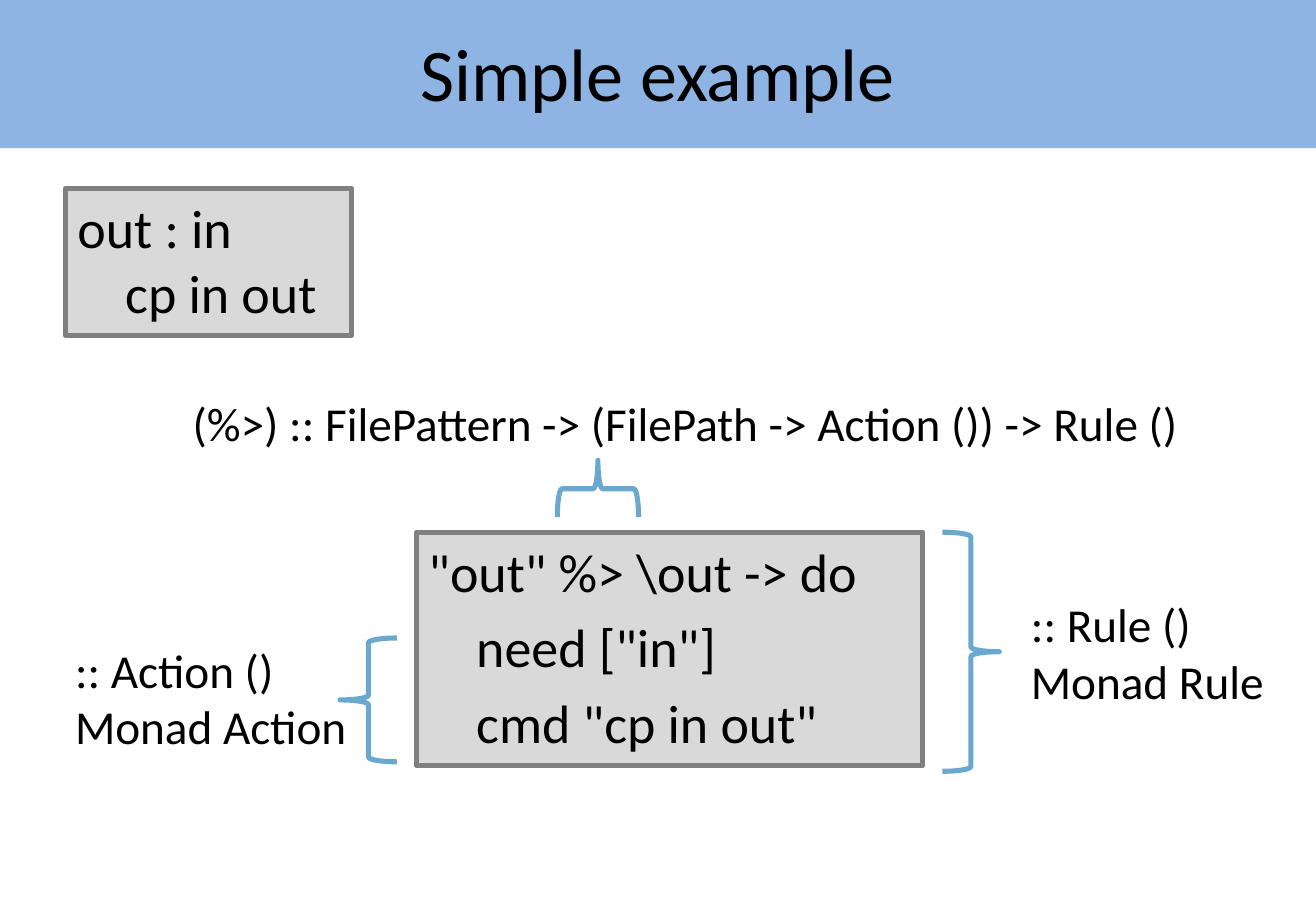
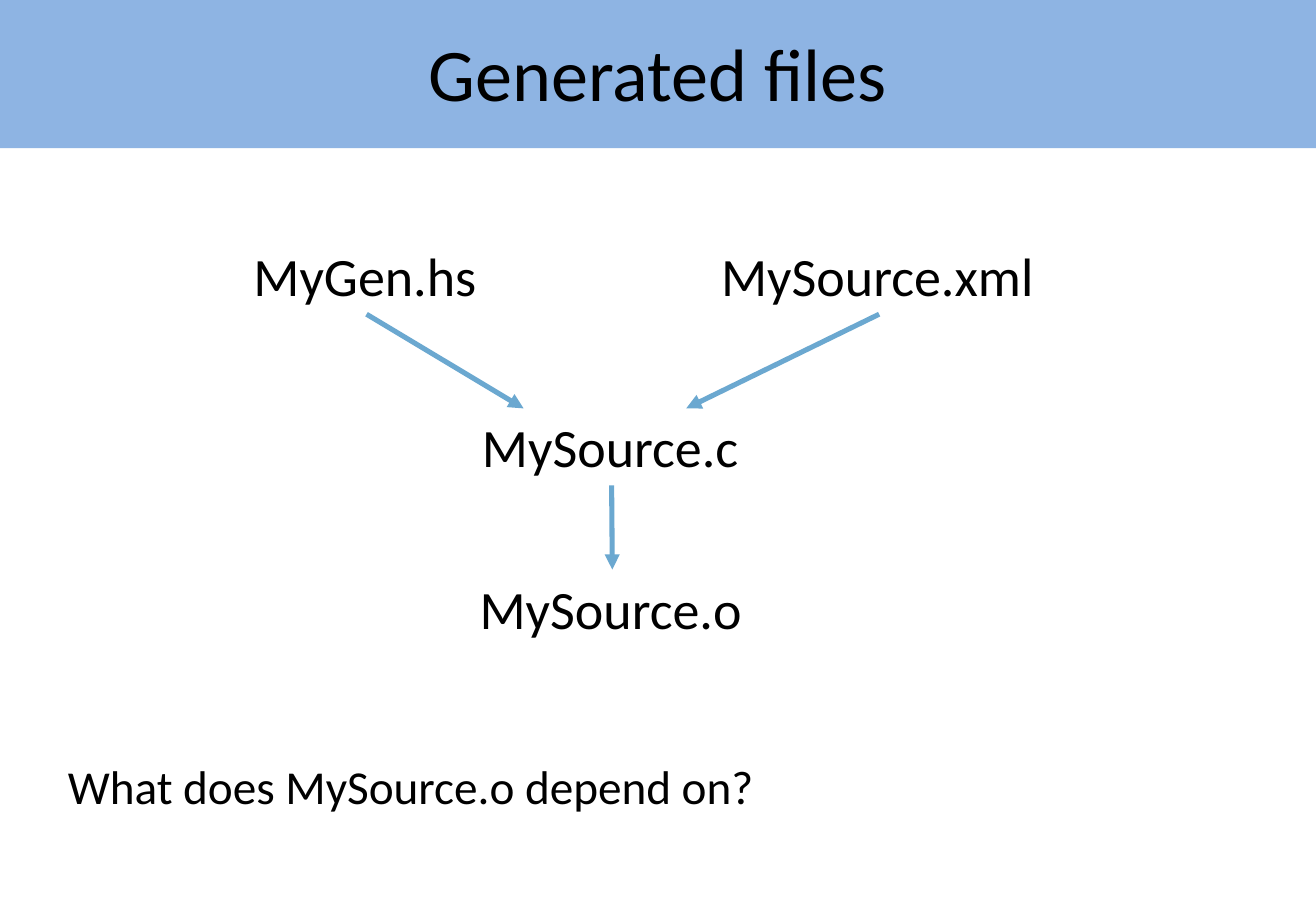
from lxml import etree
from pptx import Presentation
from pptx import util as u
from pptx.dml.color import RGBColor
from pptx.enum import shapes, text
from pptx.oxml import ns

HUES = {"band": "8EB4E3", "code": "D9D9D9", "edge": "808080",
        "mark": "6BA8D0", "ink": "000000"}
FONT = "Calibri"
WIDE, HIGH = 27.52, 19.05
TITLE = (0, -0.08, WIDE, 3.18)
LEFT = text.PP_ALIGN.LEFT
LABEL = {"word_wrap": False, "auto_size": text.MSO_AUTO_SIZE.SHAPE_TO_FIT_TEXT}
KIND = shapes.MSO_SHAPE


def hue(name):
    """Return the named colour."""
    return RGBColor.from_string(HUES[name])


def apply(item, vals):
    """Set every attribute given in a dict."""
    for key, val in vals.items():
        setattr(item, key, val)


def write(frame, lines, size, look):
    """Fill a text frame with one paragraph per line."""
    for i, line in enumerate(lines):
        para = frame.paragraphs[0] if i == 0 else frame.add_paragraph()
        run = para.add_run()
        run.text = line
        apply(run.font, {"name": FONT, "size": u.Pt(size)})
        run.font.color.rgb = hue("ink")
        apply(para, look)


def shape(slide, kind, box, fill=None, edge=None):
    """Add a preset shape with a flat fill and line."""
    item = slide.shapes.add_shape(kind, *map(u.Cm, box))
    item.shadow.inherit = False
    if fill:
        item.fill.solid()
        item.fill.fore_color.rgb = hue(fill)
    else:
        item.fill.background()
    if edge:
        item.line.color.rgb = hue(edge)
        item.line.width = u.Pt(3)
    else:
        item.line.fill.background()
    return item


def title(slide, box, words):
    """Draw the title band."""
    frame = shape(slide, KIND.RECTANGLE, box, "band").text_frame
    apply(frame, {"word_wrap": True, "vertical_anchor": text.MSO_ANCHOR.MIDDLE})
    write(frame, [words], 44, {"alignment": text.PP_ALIGN.CENTER})


def code(slide, box, lines, gap):
    """Draw a code box whose later lines are indented."""
    frame = shape(slide, KIND.RECTANGLE, box, "code", "edge").text_frame
    apply(frame, {"word_wrap": True, "vertical_anchor": text.MSO_ANCHOR.TOP})
    write(frame, lines, 32, {"alignment": LEFT, "space_before": u.Pt(gap)})
    for para in frame.paragraphs[1:]:
        para._p.get_or_add_pPr().set("marL", str(u.Cm(1)))


def label(slide, box, lines, size=28):
    """Add plain text that keeps its lines."""
    item = slide.shapes.add_textbox(*map(u.Cm, box))
    apply(item.text_frame, LABEL)
    write(item.text_frame, lines, size, {"alignment": LEFT})
    return item


def brace(slide, box, turn=0):
    """Draw a brace, turned by some degrees."""
    shape(slide, KIND.RIGHT_BRACE, box, edge="mark").rotation = turn


def arrow(slide, start, end, goal=None):
    """Draw an arrow from below a label to a point or the next label."""
    line = slide.shapes.add_connector(
        shapes.MSO_CONNECTOR.STRAIGHT, 0, 0, *map(u.Cm, end))
    line.begin_connect(start, 2)
    if goal is not None:
        line.end_connect(goal, 0)
    line.line.color.rgb = hue("mark")
    line.line.width = u.Pt(3)
    tip = etree.SubElement(line.line._get_or_add_ln(), ns.qn("a:tailEnd"))
    tip.set("type", "triangle")
    etree.SubElement(line._element.spPr, ns.qn("a:effectLst"))


def rule(slide, box):
    """Draw the rule code with braces and types around it."""
    x, y, w, h = box
    code(slide, box, ['"out" %> \\out -> do', 'need ["in"]',
                      'cmd "cp in out"'], 6.4)
    brace(slide, (x + w + 0.41, y, 1.19, h + 0.12))
    label(slide, (x + w + 2.01, y + 1.19, 5.44, 2.64),
          [":: Rule ()", "Monad Rule"])
    brace(slide, (x - 1.6, y + 2.21, 1.19, 2.59), 180)
    label(slide, (x - 7.39, y + 2.15, 6.27, 2.64),
          [":: Action ()", "Monad Action"])
    label(slide, (x - 4.93, y - 3, 21.39, 1.45),
          ["(%>) :: FilePattern -> (FilePath -> Action ()) -> Rule ()"])
    brace(slide, (x + 3.2, y - 1.76, 1.19, 1.7), 270)


def graph(slide, box):
    """Draw the files and the arrows between them."""
    x, y, w, h = box
    row = 1.63
    gen, xml, src, obj = [
        label(slide, (x + dx, y + dy, wide, row), [name], 32)
        for name, dx, dy, wide in [
            ("MyGen.hs", 0, 0, 5.23),
            ("MySource.xml", w - 7.11, 0, 7.11),
            ("MySource.c", 4.78, 3.58, 5.92),
            ("MySource.o", 4.73, h - row, 6.05)]]
    arrow(slide, gen, (x + 5.9, y + 3.6))
    arrow(slide, xml, (x + 9.3, y + 3.6))
    arrow(slide, src, (x + 7.75, y + h - row), obj)


def main():
    """Build and save both slides."""
    deck = Presentation()
    apply(deck, {"slide_width": u.Cm(WIDE), "slide_height": u.Cm(HIGH)})
    first, next_ = [deck.slides.add_slide(deck.slide_layouts[6])
                    for _ in range(2)]
    title(first, TITLE, "Simple example")
    code(first, (1.37, 3.94, 5.99, 3.07), ["out : in", "cp in out"], 0)
    rule(first, (8.71, 11.13, 10.59, 4.88))
    title(next_, TITLE, "Generated files")
    graph(next_, (5.05, 4.94, 16.89, 8.6))
    label(next_, (1.17, 15.72, 15.01, 1.45),
          ["What does MySource.o depend on?"])
    deck.save("out.pptx")


if __name__ == "__main__":
    main()
